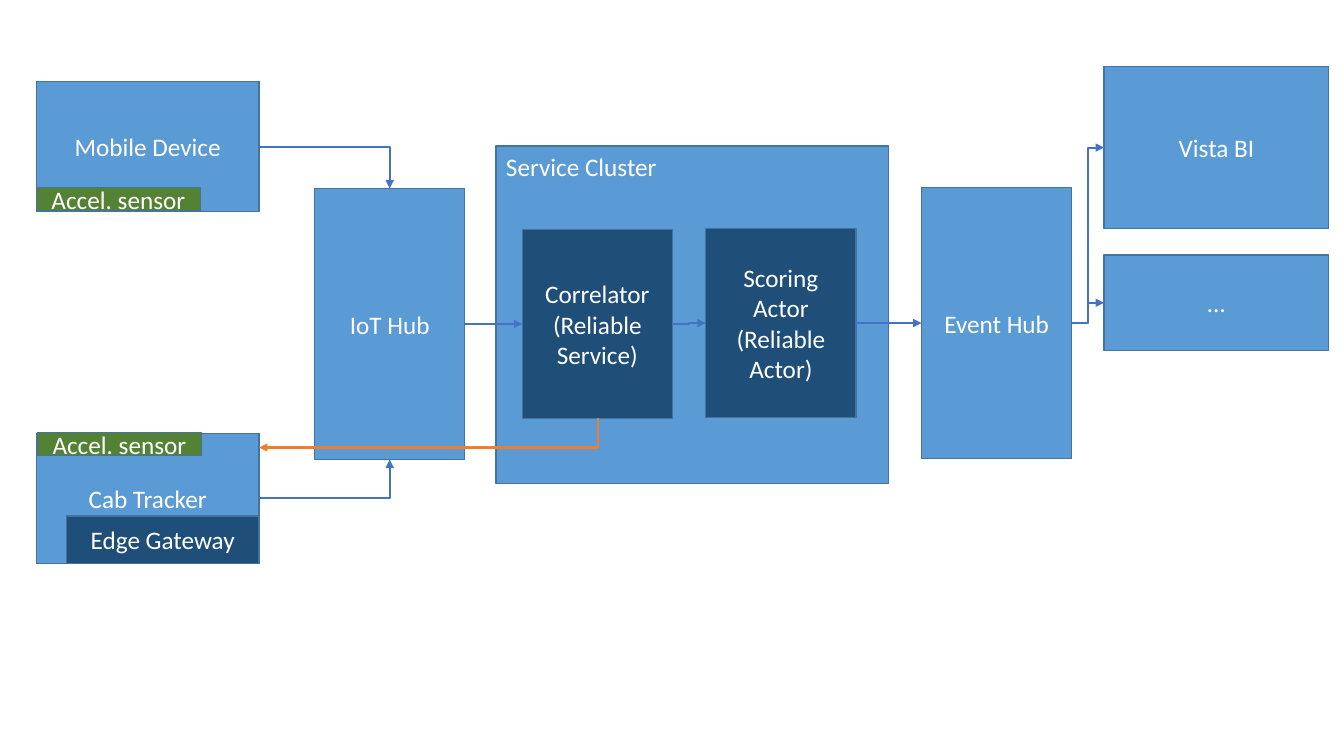
"""Build the cab tracking architecture slide."""
import pptx
import pptx.dml.color
import pptx.enum.shapes
import pptx.enum.text
import pptx.oxml
import pptx.oxml.ns
import pptx.util

Inches = pptx.util.Inches
Pt = pptx.util.Pt
RGBColor = pptx.dml.color.RGBColor
PP_ALIGN = pptx.enum.text.PP_ALIGN
MSO_ANCHOR = pptx.enum.text.MSO_ANCHOR

BLUE = RGBColor(0x5B, 0x9B, 0xD5)
NAVY = RGBColor(0x1F, 0x4E, 0x79)
GREEN = RGBColor(0x54, 0x82, 0x35)
BORDER = RGBColor(0x43, 0x73, 0x9E)
FLOW = RGBColor(0x44, 0x72, 0xC4)
FEEDBACK = RGBColor(0xED, 0x7D, 0x31)
WHITE = RGBColor(0xFF, 0xFF, 0xFF)


def add_box(slide, lines, left, top, width, height, fill):
    shape = slide.shapes.add_shape(
        pptx.enum.shapes.MSO_SHAPE.RECTANGLE,
        Inches(left), Inches(top), Inches(width), Inches(height))
    shape.shadow.inherit = False
    shape.fill.solid()
    shape.fill.fore_color.rgb = fill
    shape.line.color.rgb = BORDER
    shape.line.width = Pt(1)
    frame = shape.text_frame
    frame.word_wrap = True
    frame.vertical_anchor = MSO_ANCHOR.MIDDLE
    for index, line in enumerate(lines):
        paragraph = frame.add_paragraph() if index else frame.paragraphs[0]
        paragraph.alignment = PP_ALIGN.CENTER
        run = paragraph.add_run()
        run.text = line
        run.font.name = "Calibri"
        run.font.size = Pt(18)
        run.font.color.rgb = WHITE
    return shape


def add_elbow(slide, start, end, color, preset, arrow):
    connector = slide.shapes.add_connector(
        pptx.enum.shapes.MSO_CONNECTOR.ELBOW,
        *[Inches(value) for value in start + end])
    connector.line.color.rgb = color
    connector.line.width = Pt(1.5)
    properties = connector._element.spPr
    properties.find(pptx.oxml.ns.qn("a:prstGeom")).set("prst", preset)
    namespace = pptx.oxml.ns.nsdecls("a")
    connector.line._get_or_add_ln().append(
        pptx.oxml.parse_xml(f'<a:{arrow} {namespace} type="triangle"/>'))
    properties.append(pptx.oxml.parse_xml(f"<a:effectLst {namespace}/>"))
    return connector


presentation = pptx.Presentation()
presentation.slide_width = Inches(13.33)
presentation.slide_height = Inches(7.5)
slide = presentation.slides.add_slide(presentation.slide_layouts[6])

boxes = {}
for name, lines, left, top, width, height, fill in [
    ("mobile", ["Mobile Device"], 0.36, 0.81, 2.21, 1.29, BLUE),
    ("tracker", ["Cab Tracker"], 0.36, 4.3, 2.21, 1.29, BLUE),
    ("iot hub", ["IoT Hub"], 3.12, 1.87, 1.49, 2.69, BLUE),
    ("gateway", ["Edge Gateway"], 0.66, 5.12, 1.91, 0.47, NAVY),
    ("cluster", ["Service Cluster"], 4.92, 1.45, 3.89, 3.35, BLUE),
    ("correlator", ["Correlator", "(Reliable Service)"], 5.18, 2.28, 1.49, 1.87, NAVY),
    ("scoring", ["Scoring Actor", "(Reliable Actor)"], 7, 2.27, 1.49, 1.87, NAVY),
    ("event hub", ["Event Hub"], 9.14, 1.86, 1.49, 2.69, BLUE),
    ("reports", ["Vista BI"], 10.95, 0.66, 2.23, 1.61, BLUE),
    ("others", ["…"], 10.95, 2.53, 2.23, 0.95, BLUE),
    ("mobile sensor", ["Accel. sensor"], 0.36, 1.86, 1.63, 0.23, GREEN),
    ("tracker sensor", ["Accel. sensor"], 0.37, 4.29, 1.63, 0.23, GREEN),
]:
    boxes[name] = add_box(slide, lines, left, top, width, height, fill)

cluster_frame = boxes["cluster"].text_frame
cluster_frame.vertical_anchor = MSO_ANCHOR.TOP
cluster_frame.paragraphs[0].alignment = PP_ALIGN.LEFT

for source, target, target_side, start, end in [
    ("mobile", "iot hub", 0, (2.57, 1.45), (3.87, 1.87)),
    ("tracker", "iot hub", 2, (2.57, 4.94), (3.87, 4.56)),
    ("iot hub", "correlator", 1, (4.61, 3.22), (5.18, 3.21)),
    ("correlator", "scoring", 1, (6.67, 3.21), (7, 3.2)),
    ("scoring", "event hub", 1, (8.49, 3.2), (9.14, 3.2)),
    ("event hub", "reports", 1, (10.63, 3.2), (10.95, 1.46)),
    ("event hub", "others", 1, (10.63, 3.2), (10.95, 3.01)),
]:
    preset = "bentConnector3" if target_side == 1 else "bentConnector2"
    connector = add_elbow(slide, start, end, FLOW, preset, "tailEnd")
    connector.begin_connect(boxes[source], 3)
    connector.end_connect(boxes[target], target_side)

add_elbow(slide, (2.57, 4.44), (5.93, 4.15), FEEDBACK, "bentConnector2", "headEnd")

presentation.save("out.pptx")
